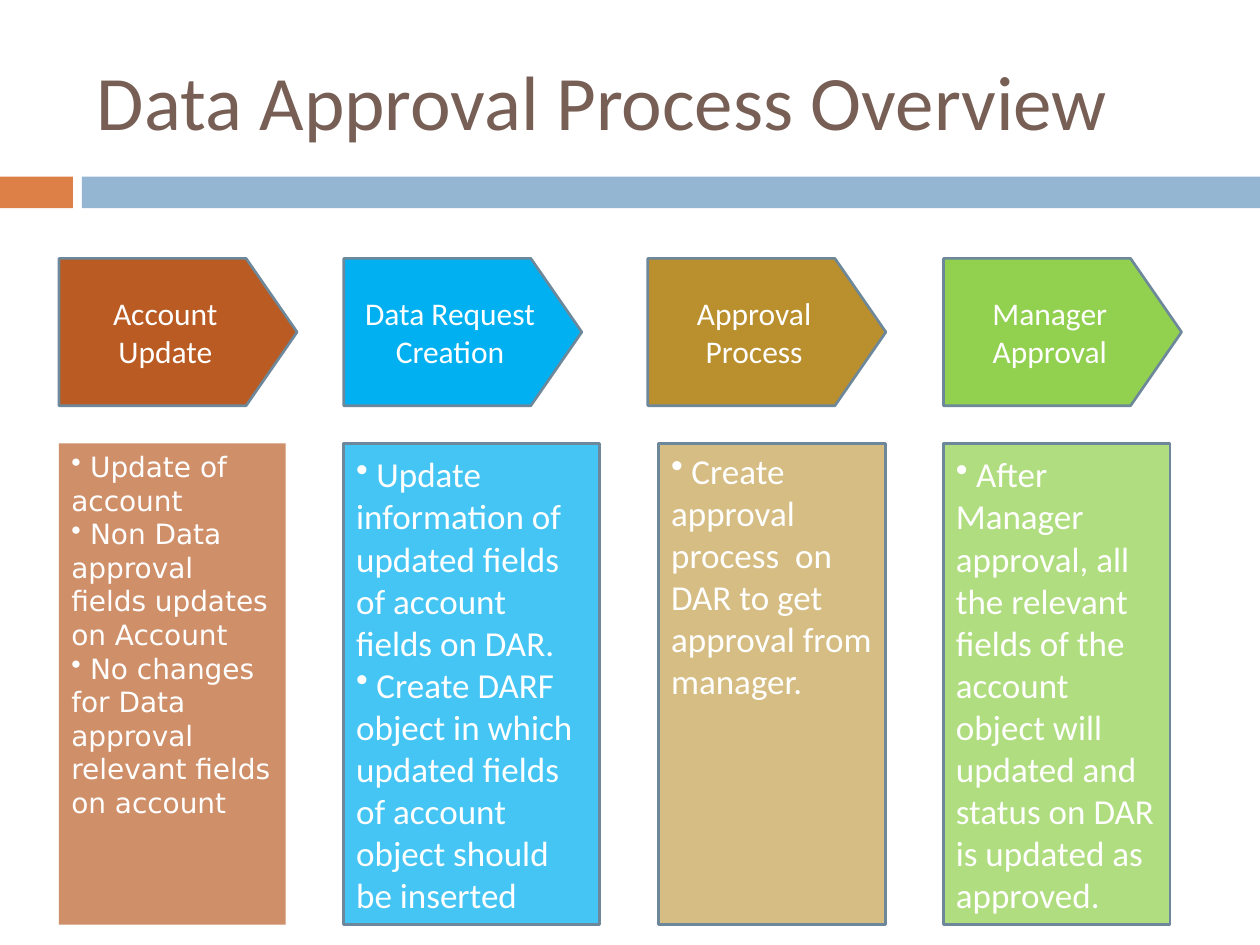
import lxml.etree
import pptx
import pptx.dml.color
import pptx.enum.shapes
import pptx.enum.text
import pptx.oxml.ns
import pptx.util
from pptx.util import Cm

COLORS = {
    "title": "775F55", "accent": "DD8047", "band": "94B6D2", "outline": "6D879B",
    "text": "FFFFFF", "account": "B95B22", "request": "00B0F0",
    "approval": "BA8F2D", "manager": "92D050",
}
SHAPES = pptx.enum.shapes.MSO_SHAPE
TOP = pptx.enum.text.MSO_ANCHOR.TOP
MIDDLE = pptx.enum.text.MSO_ANCHOR.MIDDLE
LEFT = pptx.enum.text.PP_ALIGN.LEFT
CENTER = pptx.enum.text.PP_ALIGN.CENTER

ARROW_TOP, ARROW_WIDTH, ARROW_HEIGHT = 5.21, 4.8, 2.97
DETAIL_TOP, DETAIL_HEIGHT = 8.94, 9.7

STAGES = [
    dict(heading="Account Update", color="account", arrow_left=1.19,
         detail_left=1.19, detail_width=4.57, opacity=68, outlined=False,
         anchor=TOP, font="DejaVu Sans", size=16,
         points=["Update of account",
                 "Non Data approval fields updates on Account",
                 "No changes for Data approval relevant fields on account"]),
    dict(heading="Data Request Creation", color="request", arrow_left=6.93,
         detail_left=6.93, detail_width=5.16, opacity=73, outlined=True,
         anchor=MIDDLE, font="Calibri", size=20,
         points=["Update information of updated fields of account fields on DAR.",
                 "Create DARF object in which updated fields of account object "
                 "should be inserted"]),
    dict(heading="Approval Process", color="approval", arrow_left=13.06,
         detail_left=13.28, detail_width=4.57, opacity=59, outlined=True,
         anchor=TOP, font="Calibri", size=20,
         points=["Create  approval process  on DAR to get approval from manager. "]),
    dict(heading="Manager Approval", color="manager", arrow_left=19.02,
         detail_left=19.02, detail_width=4.57, opacity=72, outlined=True,
         anchor=MIDDLE, font="Calibri", size=20,
         points=["After Manager approval, all the relevant fields of the account "
                 "object will updated and status on DAR is updated as approved."]),
]


def rgb(name):
    """Return the named colour."""
    return pptx.dml.color.RGBColor.from_string(COLORS[name])


def add_block(slide, kind, box, color, outlined=False):
    """Add a filled shape in a box given in centimetres."""
    shape = slide.shapes.add_shape(kind, *(Cm(length) for length in box))
    shape.shadow.inherit = False
    shape.fill.solid()
    shape.fill.fore_color.rgb = rgb(color)
    if outlined:
        shape.line.color.rgb = rgb("outline")
        shape.line.width = pptx.util.Pt(1.5)
    else:
        shape.line.fill.background()
    return shape


def format_paragraph(paragraph, font, size, color, alignment):
    """Set the font and alignment of a paragraph."""
    paragraph.alignment = alignment
    paragraph.font.name = font
    paragraph.font.size = pptx.util.Pt(size)
    paragraph.font.color.rgb = rgb(color)


def set_opacity(shape, percent):
    """Make the solid fill of a shape partly transparent."""
    color = shape._element.spPr.find(
        pptx.oxml.ns.qn("a:solidFill") + "/" + pptx.oxml.ns.qn("a:srgbClr"))
    alpha = lxml.etree.SubElement(color, pptx.oxml.ns.qn("a:alpha"))
    alpha.set("val", str(percent * 1000))


def add_bullet(paragraph):
    """Give a paragraph a round bullet without a hanging indent."""
    bullet = lxml.etree.SubElement(
        paragraph._p.get_or_add_pPr(), pptx.oxml.ns.qn("a:buChar"))
    bullet.set("char", "\u2022")
    # The bullet has no tab stop, so one space parts it from the text.
    paragraph.runs[0].text = " " + paragraph.runs[0].text


def add_header(slide, left, top, width, height):
    """Place the title and the two-part band under it."""
    title = slide.shapes.title
    title.left, title.top = Cm(left), Cm(top)
    title.width, title.height = Cm(width), Cm(height)
    frame = title.text_frame
    frame.text = "Data Approval Process Overview"
    frame.vertical_anchor = MIDDLE
    frame.auto_size = pptx.enum.text.MSO_AUTO_SIZE.NONE
    format_paragraph(frame.paragraphs[0], "Calibri", 44, "title", LEFT)
    band_top = top + height + 0.18
    add_block(slide, SHAPES.RECTANGLE, (0, band_top, 1.47, 0.64), "accent")
    add_block(slide, SHAPES.RECTANGLE, (1.65, band_top, 23.75, 0.64), "band")


def add_arrow(slide, stage, box):
    """Add the arrow that names a stage."""
    arrow = add_block(slide, SHAPES.PENTAGON, box, stage["color"], outlined=True)
    arrow.adjustments[0] = 0.346
    frame = arrow.text_frame
    frame.text = stage["heading"]
    frame.word_wrap = True
    frame.vertical_anchor = MIDDLE
    format_paragraph(frame.paragraphs[0], "Calibri", 18, "text", CENTER)


def add_detail(slide, stage, box):
    """Add the bulleted panel that explains a stage."""
    panel = add_block(slide, SHAPES.RECTANGLE, box, stage["color"], stage["outlined"])
    set_opacity(panel, stage["opacity"])
    frame = panel.text_frame
    frame.text = "\n".join(stage["points"])
    frame.word_wrap = True
    frame.vertical_anchor = stage["anchor"]
    for paragraph in frame.paragraphs:
        add_bullet(paragraph)
        format_paragraph(paragraph, stage["font"], stage["size"], "text", LEFT)


def build_presentation():
    """Build the process overview slide and save it."""
    presentation = pptx.Presentation()
    presentation.slide_width, presentation.slide_height = Cm(25.4), Cm(19.05)
    slide = presentation.slides.add_slide(presentation.slide_layouts[5])
    add_header(slide, 1.7, 0.64, 22.66, 2.74)
    for stage in STAGES:
        add_arrow(slide, stage,
                  (stage["arrow_left"], ARROW_TOP, ARROW_WIDTH, ARROW_HEIGHT))
        add_detail(slide, stage,
                   (stage["detail_left"], DETAIL_TOP, stage["detail_width"], DETAIL_HEIGHT))
    presentation.save("out.pptx")


build_presentation()
